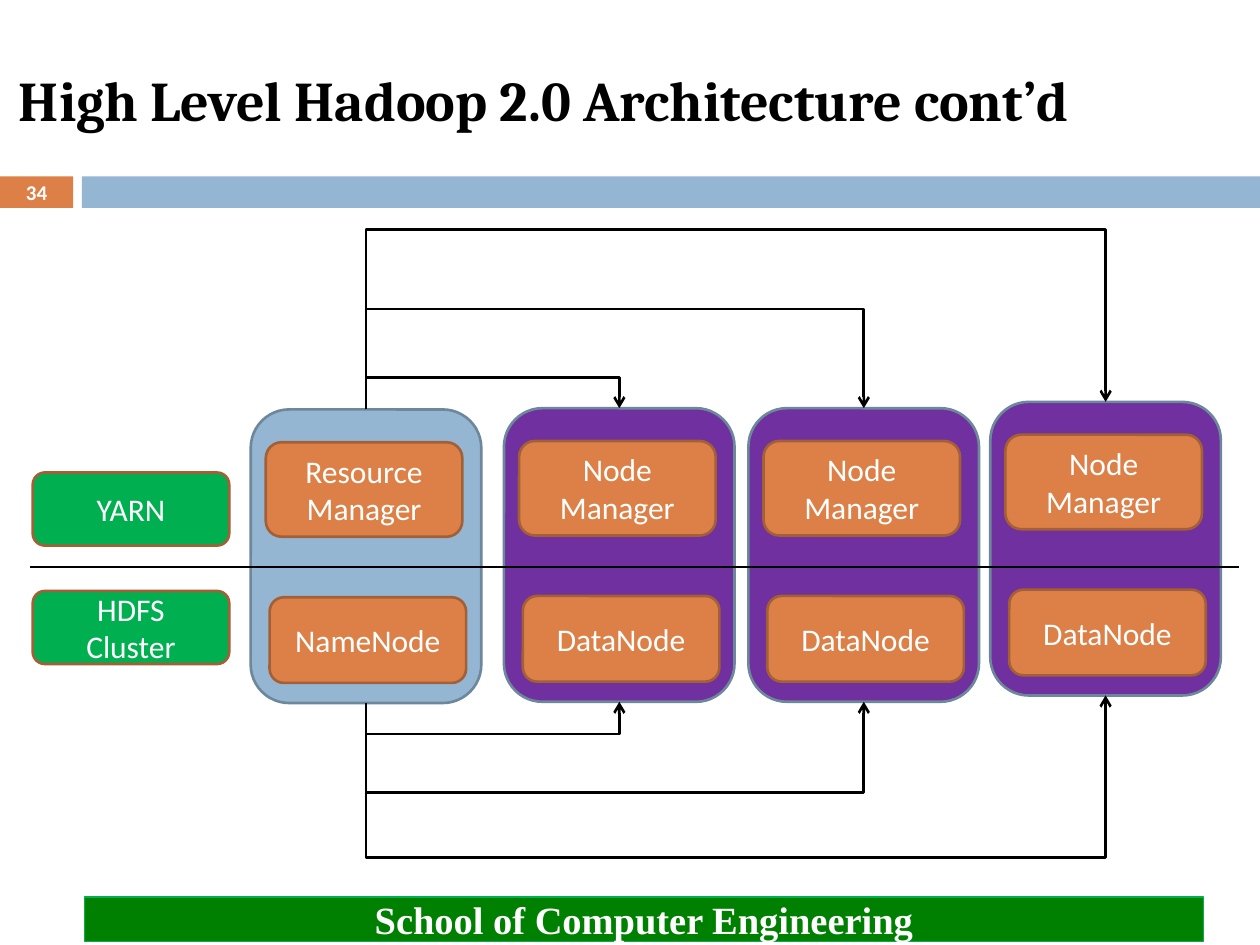
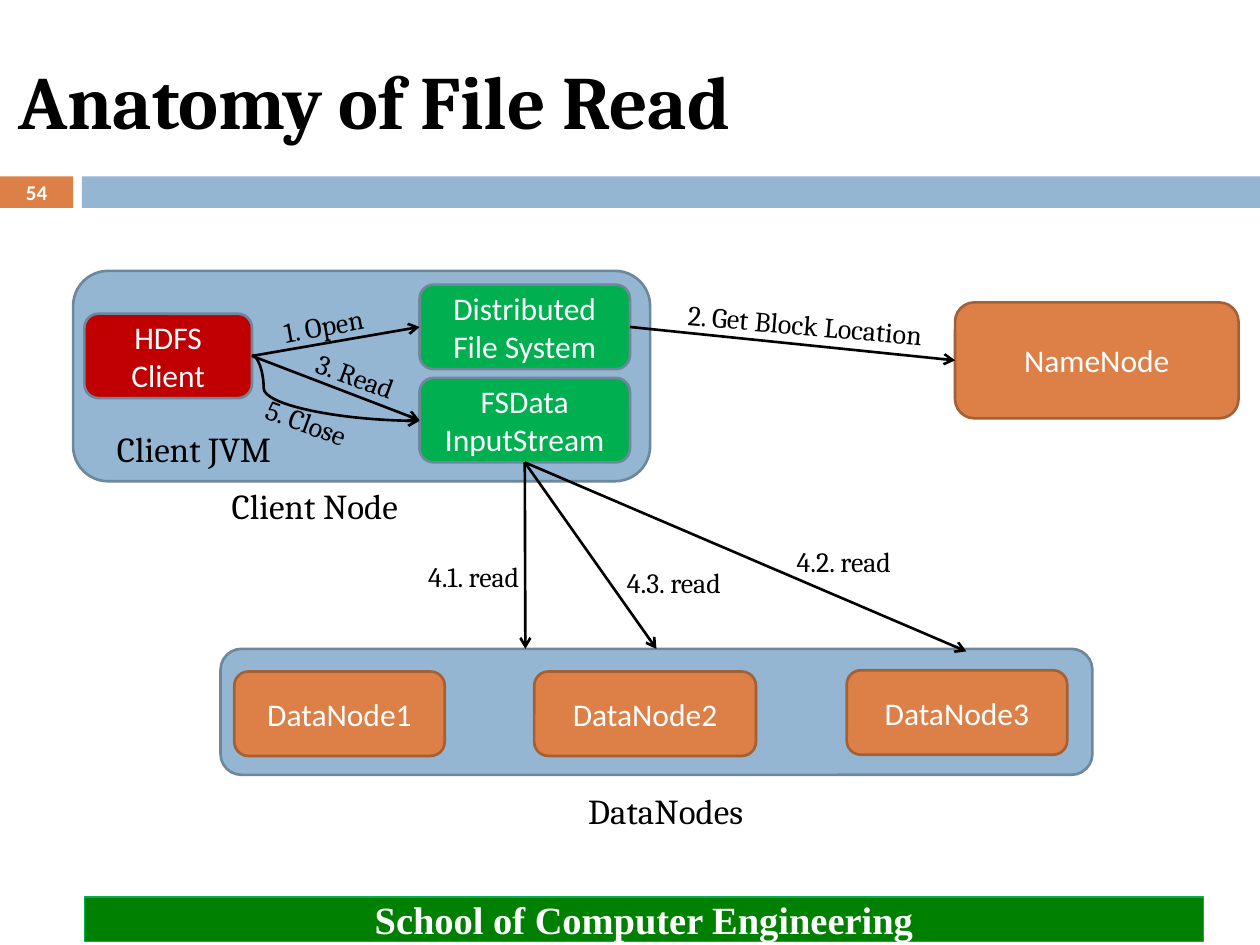
from lxml.etree import SubElement
from pptx import Presentation
from pptx.dml.color import RGBColor
from pptx.enum.shapes import MSO_CONNECTOR, MSO_SHAPE
from pptx.enum.text import MSO_ANCHOR, MSO_AUTO_SIZE, PP_ALIGN
from pptx.oxml.ns import qn
from pptx.util import Inches, Pt

BLACK, WHITE = "000000", "FFFFFF"
ORANGE, ORANGE_EDGE = "DD8047", "A35F35"
BLUE, BLUE_EDGE = "94B6D2", "6D879B"
GREEN, PURPLE, RED, FOOTER_GREEN = "00B050", "7030A0", "C00000", "008000"
FOOTER = "School of Computer Engineering"

LAYERS = [("YARN", 3.75), ("HDFS\nCluster", 4.69)]
MACHINES = [
    (1.99, 3.25, BLUE, "Resource Manager", "NameNode"),
    (4, 3.24, PURPLE, "Node Manager", "DataNode"),
    (5.94, 3.24, PURPLE, "Node Manager", "DataNode"),
    (7.86, 3.19, PURPLE, "Node Manager", "DataNode"),
]
MACHINE_WIDTH, MACHINE_HEIGHT = 1.83, 2.33
UPPER_TURNS = [2.99, 2.44, 1.82]
LOWER_TURNS = [5.83, 6.3, 6.81]

READ_BOXES = {
    "client node": ("", (0.58, 2.15, 4.58, 1.67), BLUE, BLUE_EDGE),
    "name node": ("NameNode", (7.58, 2.4, 2.25, 0.92), ORANGE, ORANGE_EDGE),
    "data nodes": ("", (1.75, 5.15, 6.92, 1), BLUE, BLUE_EDGE),
    "client": ("HDFS\nClient", (0.67, 2.49, 1.33, 0.67), RED, BLUE_EDGE),
    "file system": ("Distributed\nFile System", (3.33, 2.26, 1.67, 0.67), GREEN, BLUE_EDGE),
    "stream": ("FSData\nInputStream", (3.33, 3, 1.67, 0.67), GREEN, BLUE_EDGE),
    "data 1": ("DataNode1", (1.86, 5.33, 1.67, 0.67), ORANGE, ORANGE_EDGE),
    "data 2": ("DataNode2", (4.24, 5.33, 1.76, 0.67), ORANGE, ORANGE_EDGE),
    "data 3": ("DataNode3", (6.72, 5.32, 1.75, 0.67), ORANGE, ORANGE_EDGE),
}
TOP, LEFT, BOTTOM, RIGHT = range(4)
JOINED_ARROWS = [
    ("client", RIGHT, "file system", LEFT),
    ("file system", RIGHT, "name node", LEFT),
    ("client", RIGHT, "stream", LEFT),
    ("stream", BOTTOM, "data nodes", TOP),
]
LOOSE_READ_ENDS = [(4.17, 5.15), (7.67, 5.17)]
READ_LABELS = [
    ("Client JVM", (0.83, 3.34, 1.44, 0.44), 20, 0),
    ("Client Node", (1.74, 3.8, 1.59, 0.44), 20, 0),
    ("DataNodes", (4.57, 6.22, 1.51, 0.44), 20, 0),
    ("1. Open", (2.15, 2.39, 0.93, 0.37), 16, 349.9),
    ("2. Get Block Location", (5.36, 2.4, 2.2, 0.37), 16, 5),
    ("3. Read", (2.4, 2.81, 0.9, 0.37), 16, 20.4),
    ("5. Close", (2, 3.18, 0.93, 0.37), 16, 20.4),
    ("4.1. read", (3.2, 4.39, 1.02, 0.37), 16, 0),
    ("4.2. read", (6.15, 4.27, 1.02, 0.37), 16, 0),
    ("4.3. read", (4.8, 4.44, 1.02, 0.37), 16, 0),
]


def color(value):
    """Turn a hex string into a colour."""
    return RGBColor.from_string(value)


def inches(values):
    """Turn numbers into lengths."""
    return [Inches(value) for value in values]


def write(frame, text, size, font="Calibri", text_color=WHITE, bold=False, align=PP_ALIGN.CENTER):
    """Fill a text frame, one paragraph for each line."""
    frame.text = text
    for paragraph in frame.paragraphs:
        paragraph.alignment = align
        paragraph.font.size = Pt(size)
        paragraph.font.name = font
        paragraph.font.bold = bold
        paragraph.font.color.rgb = color(text_color)


def add_box(slide, place, fill, edge=None, text="", size=18, kind=MSO_SHAPE.ROUNDED_RECTANGLE,
            edge_width=1.5, **style):
    """Add a filled box with centred text."""
    shape = slide.shapes.add_shape(kind, *inches(place))
    shape.shadow.inherit = False
    shape.fill.solid()
    shape.fill.fore_color.rgb = color(fill)
    if edge:
        shape.line.color.rgb = color(edge)
        shape.line.width = Pt(edge_width)
    else:
        shape.line.fill.background()
    if text:
        shape.text_frame.vertical_anchor = MSO_ANCHOR.MIDDLE
        write(shape.text_frame, text, size, **style)
    return shape


def add_line(slide, start, end, kind=MSO_CONNECTOR.STRAIGHT, arrow=True, bend=None):
    """Add a black connector, with its bend as a share of its width."""
    connector = slide.shapes.add_connector(kind, *inches(start + end))
    connector.line.color.rgb = color(BLACK)
    connector.line.width = Pt(1.5)
    properties = connector._element.spPr
    if arrow:
        SubElement(properties.find(qn("a:ln")), qn("a:tailEnd"), type="arrow")
    SubElement(properties, qn("a:effectLst"))
    if bend is not None:
        geometry = properties.find(qn("a:prstGeom"))
        SubElement(geometry.find(qn("a:avLst")), qn("a:gd"), name="adj1",
                   fmla=f"val {round(bend * 100000)}")
    return connector


def add_elbow(slide, start, end, turn):
    """Add an arrow that runs vertically to the turn, across, and vertically to its end."""
    (start_x, start_y), (end_x, end_y) = start, end
    center_x, center_y = (start_x + end_x) / 2, (start_y + end_y) / 2
    rise, run = start_y - end_y, end_x - start_x
    connector = add_line(slide, (center_x + rise / 2, center_y + run / 2),
                         (center_x - rise / 2, center_y - run / 2),
                         MSO_CONNECTOR.ELBOW, bend=(start_y - turn) / rise)
    connector._element.spPr.find(qn("a:xfrm")).set("rot", str(90 * 60000))


def add_label(slide, text, place, size, rotation):
    """Add a free label, which may be turned."""
    label = slide.shapes.add_textbox(*inches(place))
    label.rotation = rotation
    label.text_frame.word_wrap = False
    label.text_frame.auto_size = MSO_AUTO_SIZE.SHAPE_TO_FIT_TEXT
    align = PP_ALIGN.RIGHT if text.endswith("read") else PP_ALIGN.LEFT
    write(label.text_frame, text, size, "Cambria", BLACK, align=align)


def add_slide(presentation, title_text, title_size, number):
    """Add a slide with title, bands, number and footer."""
    slide = presentation.slides.add_slide(presentation.slide_layouts[5])
    title = slide.shapes.title
    title.left, title.top, title.width, title.height = inches((0.05, 0.25, 8.92, 1.08))
    title.text_frame.vertical_anchor = MSO_ANCHOR.MIDDLE
    write(title.text_frame, title_text, title_size, "Cambria", BLACK, True, PP_ALIGN.LEFT)
    add_box(slide, (0, 1.4, 0.58, 0.25), ORANGE, text=number, size=12,
            kind=MSO_SHAPE.RECTANGLE, bold=True)
    add_box(slide, (0.65, 1.4, 9.35, 0.25), BLUE, kind=MSO_SHAPE.RECTANGLE)
    add_box(slide, (0.67, 7.12, 8.88, 0.35), FOOTER_GREEN, GREEN, FOOTER, 22,
            MSO_SHAPE.RECTANGLE, 0.75, font="Times New Roman", bold=True)
    return slide


def build_architecture(presentation):
    """Draw the machines of the two layers and their links."""
    slide = add_slide(presentation, "High Level Hadoop 2.0 Architecture cont’d", 32, "34")
    for text, top in LAYERS:
        add_box(slide, (0.26, top, 1.56, 0.58), GREEN, ORANGE_EDGE, text)
    for left, top, fill, manager, storage in MACHINES:
        add_box(slide, (left, top, MACHINE_WIDTH, MACHINE_HEIGHT), fill, BLUE_EDGE)
        add_box(slide, (left + 0.12, top + 0.26, 1.56, 0.75), ORANGE, ORANGE_EDGE, manager)
        add_box(slide, (left + 0.15, top + 1.49, 1.56, 0.68), ORANGE, ORANGE_EDGE, storage)
    add_line(slide, (0.24, 4.5), (9.83, 4.5), arrow=False)
    centers = [(left + MACHINE_WIDTH / 2, top) for left, top, *_ in MACHINES]
    for height, turns in ((MACHINE_HEIGHT, LOWER_TURNS), (0, UPPER_TURNS)):
        hub, *workers = [(x, top + height) for x, top in centers]
        for worker, turn in zip(workers, turns):
            add_elbow(slide, hub, worker, turn)


def build_file_read(presentation):
    """Draw the steps of a file read."""
    slide = add_slide(presentation, "Anatomy of File Read", 43, "54")
    boxes = {name: add_box(slide, place, fill, edge, text)
             for name, (text, place, fill, edge) in READ_BOXES.items()}
    for source, source_side, target, target_side in JOINED_ARROWS:
        connector = add_line(slide, (0, 0), (1, 1))
        connector.begin_connect(boxes[source], source_side)
        connector.end_connect(boxes[target], target_side)
    for end in LOOSE_READ_ENDS:
        connector = add_line(slide, (4.17, 3.67), end)
        connector.begin_connect(boxes["stream"], BOTTOM)
    add_line(slide, (2, 2.82), (3.33, 3.34), MSO_CONNECTOR.CURVE, bend=0.07)
    for label in READ_LABELS:
        add_label(slide, *label)


def main():
    """Build and save the presentation."""
    presentation = Presentation()
    presentation.slide_width, presentation.slide_height = inches((10, 7.5))
    build_architecture(presentation)
    build_file_read(presentation)
    presentation.save("out.pptx")


if __name__ == "__main__":
    main()
